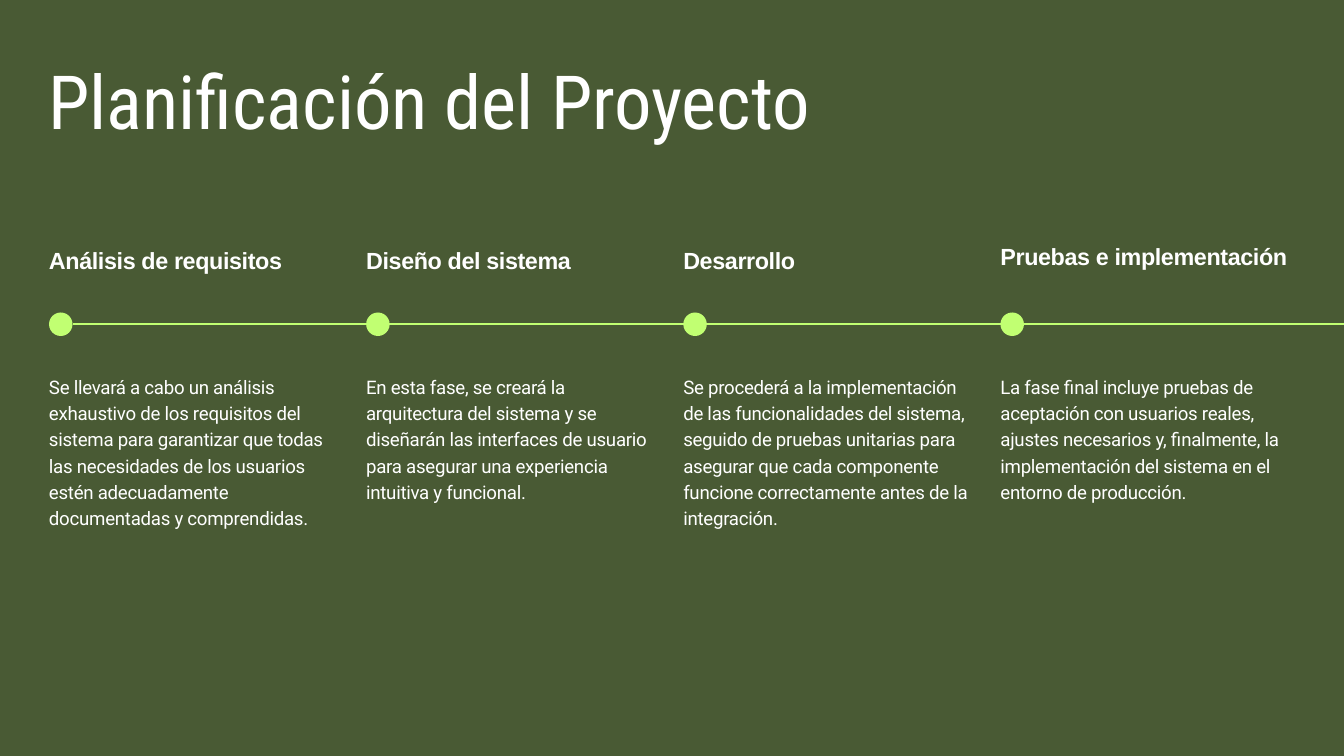
import pptx
import pptx.dml.color
import pptx.enum.shapes
import pptx.enum.text
import pptx.oxml.ns
import pptx.util
from lxml import etree

Pt = pptx.util.Pt
RGBColor = pptx.dml.color.RGBColor

OLIVE = RGBColor(0x49, 0x5A, 0x34)
LIME = RGBColor(0xC1, 0xFF, 0x72)
WHITE = RGBColor(0xFF, 0xFF, 0xFF)

SLIDE_W, SLIDE_H = 1440, 810
LEFT, PITCH, COLUMN_W = 52.5, 339.8, 315.5
DOT, DOT_TOP = 25.2, 334.8
LINE_Y = 347
HEADING_TOP, BODY_TOP = 263.5, 398.9

# Heading, vertical offset of the heading, description, height of the description
PHASES = [
    ("Análisis de requisitos", 0,
     "Se llevará a cabo un análisis exhaustivo de los requisitos del sistema "
     "para garantizar que todas las necesidades de los usuarios estén "
     "adecuadamente documentadas y comprendidas.", 168.5),
    ("Diseño del sistema", 0,
     "En esta fase, se creará la arquitectura del sistema y se diseñarán las "
     "interfaces de usuario para asegurar una experiencia intuitiva y "
     "funcional.", 140.5),
    ("Desarrollo", 0,
     "Se procederá a la implementación de las funcionalidades del sistema, "
     "seguido de pruebas unitarias para asegurar que cada componente funcione "
     "correctamente antes de la integración.", 168.5),
    ("Pruebas e implementación", -3.5,
     "La fase final incluye pruebas de aceptación con usuarios reales, ajustes "
     "necesarios y, finalmente, la implementación del sistema en el entorno de "
     "producción.", 140.5),
]


def add_text(s, text, x, y, w, h, *, font, size, leading, bold=False, tracking=0):
    """Add a text box without margins; leading and tracking are in points."""
    tf = s.shapes.add_textbox(Pt(x), Pt(y), Pt(w), Pt(h)).text_frame
    tf.word_wrap = True
    tf.auto_size = pptx.enum.text.MSO_AUTO_SIZE.SHAPE_TO_FIT_TEXT
    tf.margin_left = tf.margin_top = tf.margin_right = tf.margin_bottom = 0
    p = tf.paragraphs[0]
    p.line_spacing = Pt(leading)
    r = p.add_run()
    r.text = text
    r.font.name = font
    r.font.size = Pt(size)
    r.font.bold = bold
    r.font.color.rgb = WHITE
    if tracking:
        r.font._element.set("spc", str(round(tracking * 100)))


def add_timeline(s):
    line = s.shapes.add_connector(
        pptx.enum.shapes.MSO_CONNECTOR.STRAIGHT,
        Pt(LEFT + DOT), Pt(LINE_Y), Pt(SLIDE_W), Pt(LINE_Y))
    line.line.color.rgb = LIME
    line.line.width = Pt(1.8)
    etree.SubElement(line._element.spPr, pptx.oxml.ns.qn("a:effectLst"))


def add_dot(s, x):
    sp = s.shapes.add_shape(pptx.enum.shapes.MSO_SHAPE.OVAL,
                            Pt(x), Pt(DOT_TOP), Pt(DOT), Pt(DOT))
    sp.shadow.inherit = False
    sp.fill.solid()
    sp.fill.fore_color.rgb = LIME
    sp.line.fill.background()


def add_phase(s, x, heading, offset, body, body_h):
    add_dot(s, x)
    add_text(s, heading, x, HEADING_TOP + offset, COLUMN_W, 32.5,
             font="Arial", size=25, leading=30, bold=True, tracking=-0.4)
    add_text(s, body, x, BODY_TOP, COLUMN_W, body_h,
             font="Roboto", size=20, leading=28, tracking=-0.3)


def main():
    prs = pptx.Presentation()
    prs.slide_width, prs.slide_height = Pt(SLIDE_W), Pt(SLIDE_H)
    s = prs.slides.add_slide(prs.slide_layouts[6])
    s.background.fill.solid()
    s.background.fill.fore_color.rgb = OLIVE

    add_timeline(s)
    for i, phase in enumerate(PHASES):
        add_phase(s, LEFT + i * PITCH, *phase)
    add_text(s, "Planificación del Proyecto", 52, 75, 1335, 72.5,
             font="Roboto Condensed", size=80, leading=80)
    prs.save("out.pptx")


if __name__ == "__main__":
    main()
